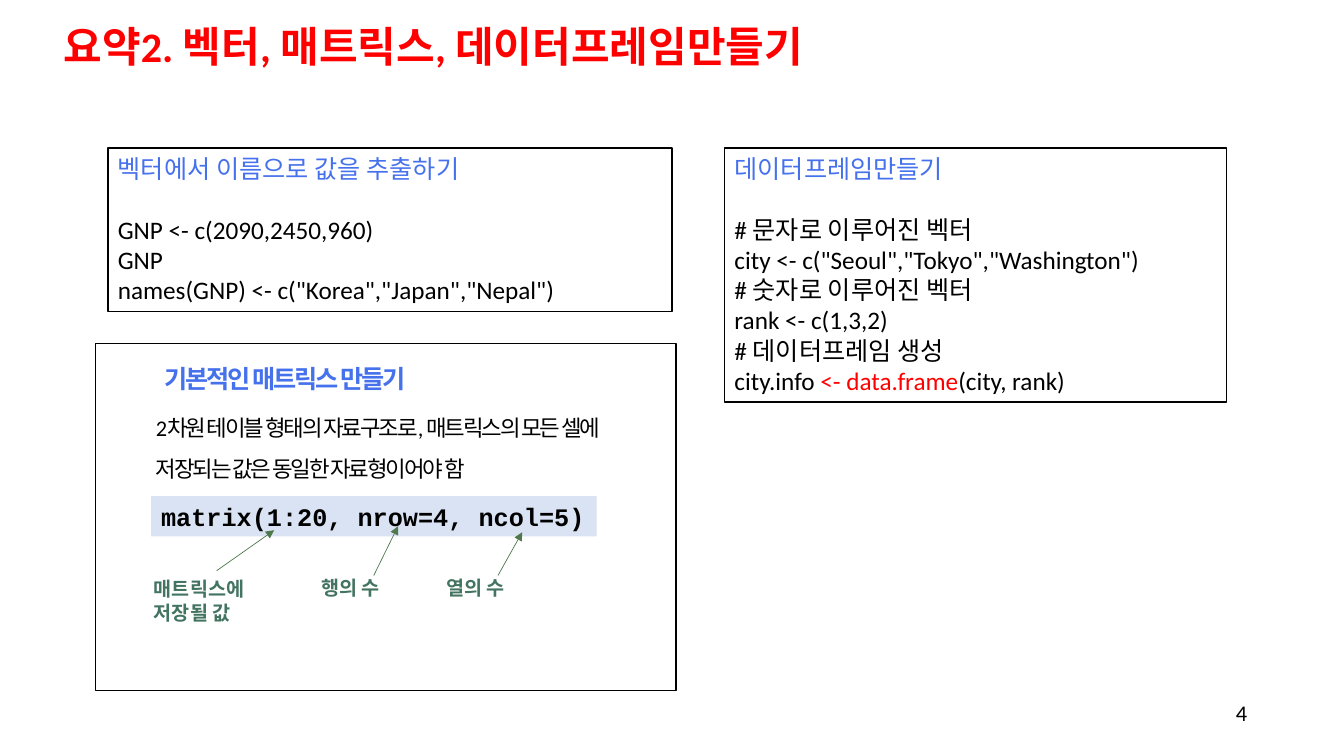
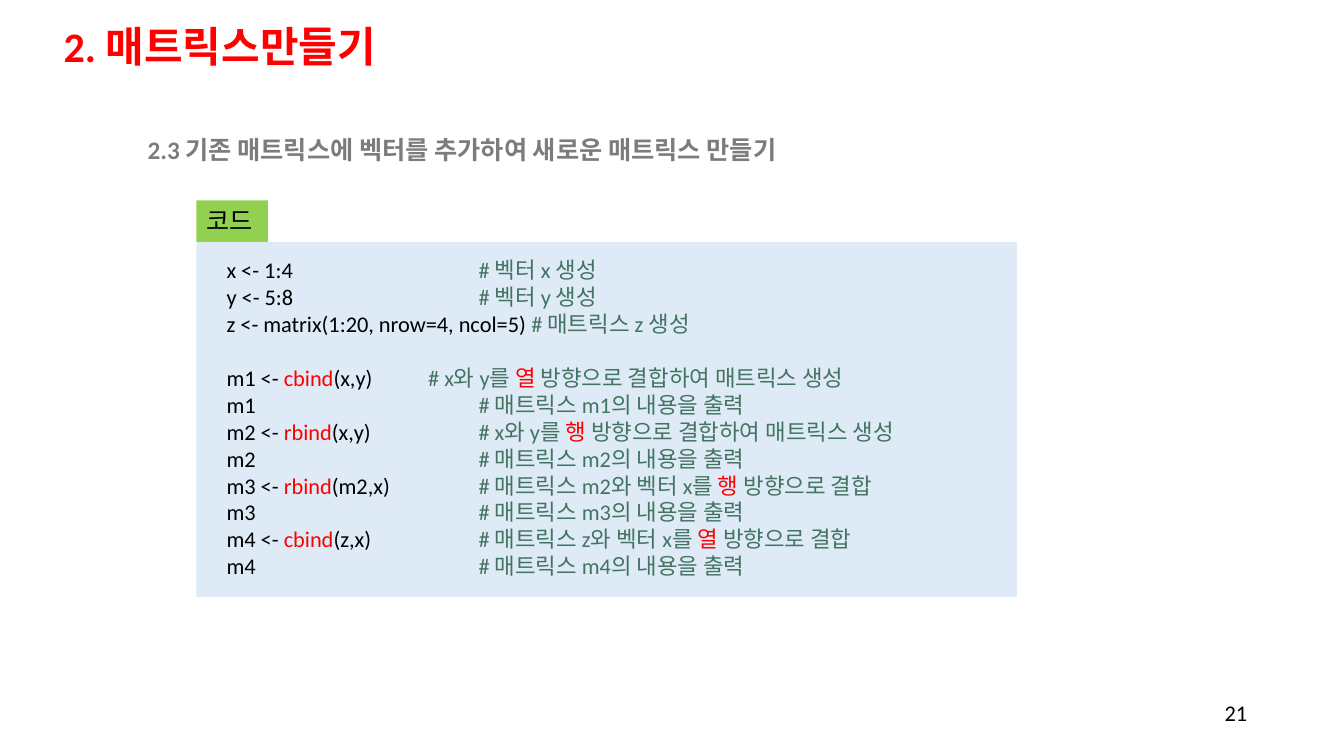
from dataclasses import dataclass

from lxml import etree
from pptx import Presentation
from pptx.dml.color import RGBColor
from pptx.enum import shapes, text
from pptx.oxml import ns
from pptx.util import Cm, Pt


@dataclass(frozen=True)
class Theme:
    body_font: str = "Calibri"
    code_font: str = "Courier New"
    title_size: int = 30
    heading_size: int = 18
    text_size: int = 16
    label_size: int = 14
    ink: str = "000000"
    accent: str = "FF0000"
    heading: str = "4671EC"
    subtitle: str = "7C7C7C"
    comment: str = "437361"
    arrow: str = "4F784C"
    paper: str = "FFFFFF"
    formula_fill: str = "DAE3F3"
    code_fill: str = "DEEBF7"
    tag_fill: str = "92D050"


THEME = Theme()

SUMMARY_TITLE = "요약2. 벡터, 매트릭스, 데이터프레임만들기"
PANELS = [
    ((2.72, 3.73, 14.22, 4.12), "벡터에서 이름으로 값을 추출하기", [
        "GNP <- c(2090,2450,960)",
        "GNP",
        'names(GNP) <- c("Korea","Japan","Nepal")',
    ]),
    ((18.26, 3.73, 12.65, 6.4), "데이터프레임만들기", [
        "# 문자로 이루어진 벡터",
        'city <- c("Seoul","Tokyo","Washington")',
        "# 숫자로 이루어진 벡터",
        "rank <- c(1,3,2)",
        "# 데이터프레임 생성",
        "city.info *<- data.frame*(city, rank)",
    ]),
]
MATRIX_BOX = (2.41, 8.66, 14.63, 8.74)
MATRIX_HEADING = "기본적인 매트릭스 만들기"
MATRIX_TEXT = "2차원 테이블 형태의 자료구조로, 매트릭스의 모든 셀에 저장되는 값은 동일한 자료형이어야 함"
FORMULA_BOX = (3.81, 12.5, 11.23, 1.02)
FORMULA = "matrix(1:20, nrow=4, ncol=5)"
ARGUMENTS = [
    (["매트릭스에", "저장될 값"], (3.63, 14.42, 3.18, 1.45), (5.46, 14.38, 6.91, 13.36)),
    (["행의 수"], (7.85, 14.4, 2.18, 0.86), (9.42, 14.5, 10.03, 13.26)),
    (["열의 수"], (11.0, 14.4, 2.18, 0.86), (12.55, 14.5, 13.16, 13.41)),
]

MATRIX_TITLE = "2. 매트릭스만들기"
SECTION = "2.3 기존 매트릭스에 벡터를 추가하여 새로운 매트릭스 만들기"
CODE_TAG = "코드"
CODE_BOX = (4.95, 6.1, 20.68, 8.94)
TAG_BOX = (4.95, 5.05, 1.8, 1.05)
COMMENT_STOP, NEAR_STOP = 6.35, 5.08
CODE_GROUPS = [
    [
        ("x <- 1:4\t", "# 벡터 x 생성", COMMENT_STOP),
        ("y <- 5:8\t", "# 벡터 y 생성", COMMENT_STOP),
        ("z <- matrix(1:20, nrow=4, ncol=5) ", "# 매트릭스 z 생성", COMMENT_STOP),
    ],
    [
        ("m1 <- *cbind*(x,y)\t", "# x와 y를 *열* 방향으로 결합하여 매트릭스 생성", NEAR_STOP),
        ("m1\t", "# 매트릭스 m1의 내용을 출력", COMMENT_STOP),
        ("m2 <- *rbind*(x,y)\t", "# x와 y를 *행* 방향으로 결합하여 매트릭스 생성", COMMENT_STOP),
        ("m2\t", "# 매트릭스 m2의 내용을 출력", COMMENT_STOP),
        ("m3 <- *rbind*(m2,x)\t", "# 매트릭스 m2와 벡터 x를 *행* 방향으로 결합", COMMENT_STOP),
        ("m3\t", "# 매트릭스 m3의 내용을 출력", COMMENT_STOP),
        ("m4 <- *cbind*(z,x)\t", "# 매트릭스 z와 벡터 x를 *열* 방향으로 결합", COMMENT_STOP),
        ("m4\t", "# 매트릭스 m4의 내용을 출력", COMMENT_STOP),
    ],
]


def rgb(color):
    return RGBColor.from_string(color)


def place(shape, box):
    shape.left, shape.top, shape.width, shape.height = map(Cm, box)


def add_box(slide, box, fill=None, outline=None):
    if fill is None:
        shape = slide.shapes.add_textbox(*map(Cm, box))
    else:
        shape = slide.shapes.add_shape(shapes.MSO_SHAPE.RECTANGLE, *map(Cm, box))
        shape.shadow.inherit = False
        shape.fill.solid()
        shape.fill.fore_color.rgb = rgb(fill)
        if outline:
            shape.line.color.rgb = rgb(outline)
            shape.line.width = Pt(1)
        else:
            shape.line.fill.background()
    shape.text_frame.word_wrap = True
    shape.text_frame.vertical_anchor = text.MSO_ANCHOR.TOP
    return shape.text_frame


def add_line(frame, pieces, size, bold=False, font=THEME.body_font, before=0,
             spacing=None, stop=None, indent=0, tracking=0, align=text.PP_ALIGN.LEFT):
    first = frame.paragraphs[0]
    line = frame.add_paragraph() if first.runs else first
    line.alignment = align
    line.space_before = Pt(before)
    if spacing:
        line.line_spacing = spacing
    props = line._p.get_or_add_pPr()
    if indent:
        props.set("marL", str(Cm(indent)))
        props.set("indent", "0")
    if stop:
        stops = etree.SubElement(props, ns.qn("a:tabLst"))
        etree.SubElement(stops, ns.qn("a:tab"), pos=str(Cm(stop)), algn="l")
    line.font.name, line.font.size, line.font.bold = font, Pt(size), bold
    for content, color in pieces:
        for index, part in enumerate(content.split("*")):
            if part:
                run = line.add_run()
                run.text = part
                run.font.color.rgb = rgb(THEME.accent if index % 2 else color)
                if tracking:
                    run._r.get_or_add_rPr().set("spc", str(tracking))


def add_arrow(slide, ends):
    arrow = slide.shapes.add_connector(shapes.MSO_CONNECTOR.STRAIGHT, *map(Cm, ends))
    arrow.line.color.rgb = rgb(THEME.arrow)
    arrow.line.width = Pt(0.5)
    etree.SubElement(arrow.line._get_or_add_ln(), ns.qn("a:tailEnd"), type="triangle")
    etree.SubElement(arrow._element.spPr, ns.qn("a:effectLst"))


def add_slide(deck, title, number):
    slide = deck.slides.add_slide(deck.slide_layouts[5])
    heading = slide.shapes.title
    place(heading, (1.35, 0.3, 31.34, 1.85))
    heading.text_frame.auto_size = text.MSO_AUTO_SIZE.NONE
    heading.text_frame.vertical_anchor = text.MSO_ANCHOR.MIDDLE
    add_line(heading.text_frame, [(title, THEME.accent)], THEME.title_size, bold=True, spacing=0.9)
    page = add_box(slide, (30.56, 17.45, 1.12, 1.02))
    page.vertical_anchor = text.MSO_ANCHOR.MIDDLE
    add_line(page, [(str(number), THEME.ink)], THEME.text_size, align=text.PP_ALIGN.RIGHT)
    return slide


def build_summary(deck):
    slide = add_slide(deck, SUMMARY_TITLE, 4)
    for box, heading, code in PANELS:
        panel = add_box(slide, box, THEME.paper, THEME.ink)
        add_line(panel, [(heading, THEME.heading)], THEME.heading_size)
        for index, line in enumerate(code):
            add_line(panel, [(line, THEME.ink)], THEME.heading_size, before=0 if index else 22)

    matrix = add_box(slide, MATRIX_BOX, THEME.paper, THEME.ink)
    add_line(matrix, [(MATRIX_HEADING, THEME.heading)], THEME.heading_size, bold=True,
             before=10, spacing=1.5, indent=1.49, tracking=-150)
    add_line(matrix, [(MATRIX_TEXT, THEME.ink)], THEME.text_size,
             before=5, spacing=1.5, indent=1.27, tracking=-150)
    formula = add_box(slide, FORMULA_BOX, THEME.formula_fill)
    add_line(formula, [(FORMULA, THEME.ink)], THEME.heading_size, bold=True, font=THEME.code_font)
    for lines, box, ends in ARGUMENTS:
        add_arrow(slide, ends)
        label = add_box(slide, box)
        for line in lines:
            add_line(label, [(line, THEME.comment)], THEME.label_size, bold=True)


def build_matrix(deck):
    slide = add_slide(deck, MATRIX_TITLE, 21)
    section = add_box(slide, (3.47, 3.3, 26.0, 1.02))
    section.vertical_anchor = text.MSO_ANCHOR.MIDDLE
    add_line(section, [(SECTION, THEME.subtitle)], THEME.heading_size, bold=True, spacing=0.9)
    code = add_box(slide, CODE_BOX, THEME.code_fill)
    code.margin_left, code.margin_top = Cm(0.76), Cm(0.36)
    for group_index, group in enumerate(CODE_GROUPS):
        for line_index, (command, comment, stop) in enumerate(group):
            add_line(code, [(command, THEME.ink), (comment, THEME.comment)], THEME.text_size,
                     before=19.5 if group_index and not line_index else 0, stop=stop)
    tag = add_box(slide, TAG_BOX, THEME.tag_fill)
    add_line(tag, [(CODE_TAG, THEME.ink)], THEME.heading_size)


def main():
    deck = Presentation()
    deck.slide_width, deck.slide_height = Cm(33.87), Cm(19.05)
    build_summary(deck)
    build_matrix(deck)
    deck.save("out.pptx")


if __name__ == "__main__":
    main()
